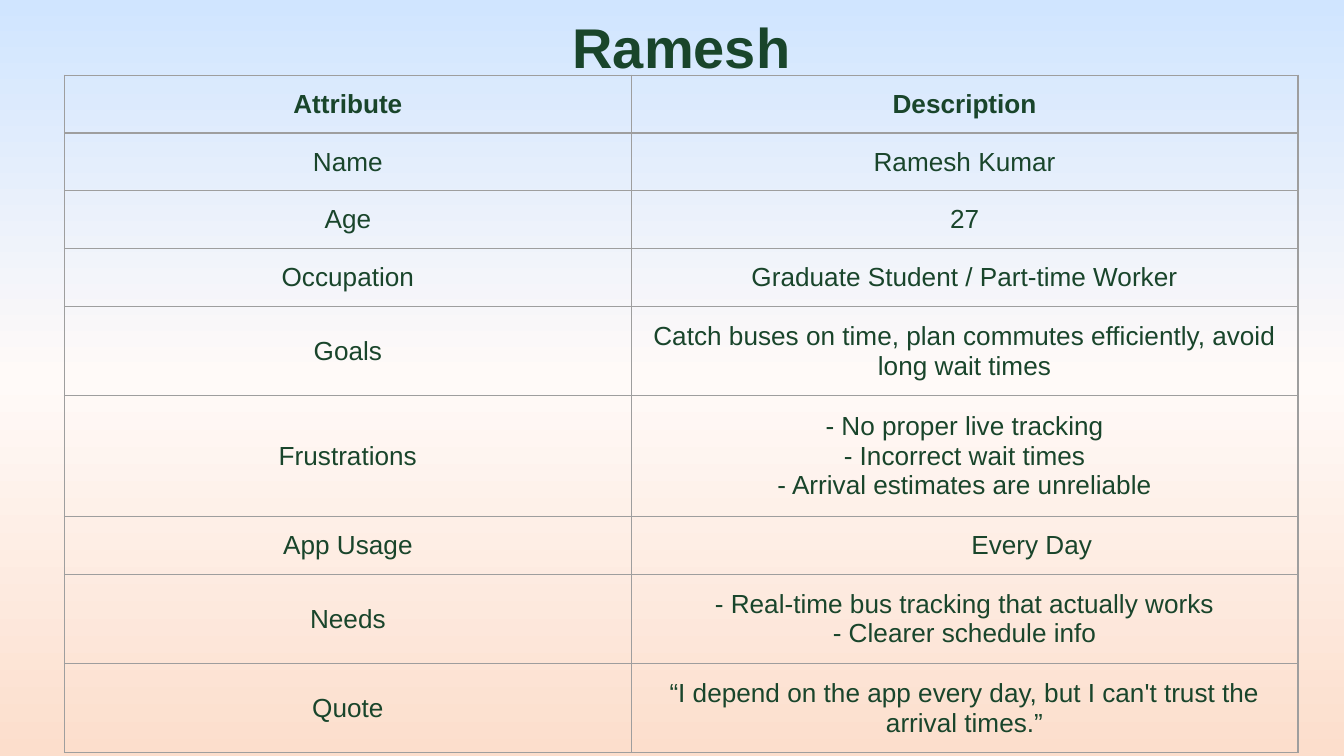
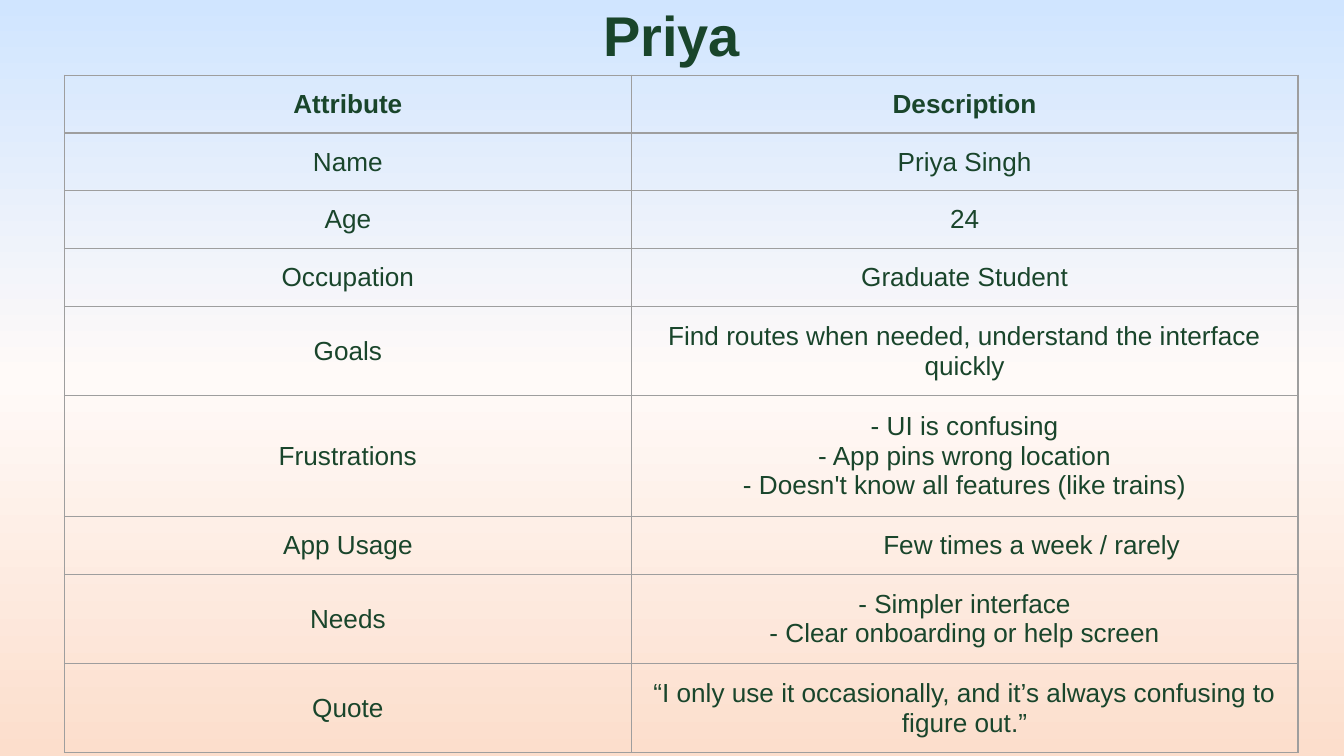
from copy import deepcopy

from lxml.etree import SubElement
from pptx import Presentation
from pptx.dml.color import RGBColor
from pptx.enum.text import MSO_ANCHOR, PP_ALIGN
from pptx.oxml.ns import qn
from pptx.util import Cm, Pt

GREEN, GREY = "19452B", "9E9E9E"
SKY_TO_PEACH = [(0, "D0E5FF"), (0.5, "FFFAF8"), (1, "FCDECC")]
TITLE = {"name": "Arial", "size": Pt(30), "bold": True}
HEADER = {"name": "Arial", "size": Pt(14), "bold": True}
BODY = {**HEADER, "bold": False}
INSETS = {f"margin_{side}": Cm(0.25) for side in ("left", "right", "top", "bottom")}
USAGE_INDENT = Cm(2.79)

TABLE_BOX = (1.22, 1.42)
COL_WIDTHS = (10.71, 12.6)
ROW_HEIGHT, QUOTE_HEIGHT = 1.07, 1.5

ATTRIBUTES = ["Name", "Age", "Occupation", "Goals", "Frustrations",
              "App Usage", "Needs", "Quote"]
PERSONAS = [
    {
        "title": "Ramesh",
        "title_box": (1.22, -0.43, 23.32, 2.62),
        "descriptions": [
            "Ramesh Kumar",
            "27",
            "Graduate Student / Part-time Worker",
            "Catch buses on time, plan commutes efficiently, avoid long wait times",
            "- No proper live tracking\n- Incorrect wait times\n"
            "- Arrival estimates are unreliable",
            "Every Day",
            "- Real-time bus tracking that actually works\n- Clearer schedule info",
            "“I depend on the app every day, but I can't trust the arrival times.”",
        ],
    },
    {
        "title": "Priya",
        "title_box": (0.86, -0.66, 23.67, 2.62),
        "descriptions": [
            "Priya Singh",
            "24",
            "Graduate Student",
            "Find routes when needed, understand the interface quickly",
            "- UI is confusing\n- App pins wrong location\n"
            "- Doesn't know all features (like trains)",
            "Few times a week / rarely",
            "- Simpler interface\n- Clear onboarding or help screen",
            "“I only use it occasionally, and it’s always confusing to figure out.”",
        ],
    },
]


def rgb(value):
    return RGBColor.from_string(value)


def set_attrs(obj, values):
    for name, value in values.items():
        setattr(obj, name, value)


def write(tf, text, style):
    """Fill a text frame with centred lines of one style."""
    tf.text = text
    for p in tf.paragraphs:
        p.alignment = PP_ALIGN.CENTER
        for r in p.runs:
            set_attrs(r.font, style)
            r.font.color.rgb = rgb(GREEN)


def paint_background(s):
    fill = s.background.fill
    fill.gradient()
    fill.gradient_angle = 270
    stops = s._element.find(".//" + qn("a:gsLst"))
    stops.append(deepcopy(stops[0]))
    for stop, (position, color) in zip(fill.gradient_stops, SKY_TO_PEACH):
        stop.position = position
        stop.color.rgb = rgb(color)


def add_title(s, box, text):
    tf = s.shapes.add_textbox(*map(Cm, box)).text_frame
    set_attrs(tf, {**INSETS, "word_wrap": True, "vertical_anchor": MSO_ANCHOR.MIDDLE})
    write(tf, text, TITLE)


def format_cell(cell, text, style):
    set_attrs(cell, {**INSETS, "vertical_anchor": MSO_ANCHOR.MIDDLE})
    write(cell.text_frame, text, style)
    tcPr = cell._tc.get_or_add_tcPr()
    for side in ("lnL", "lnR", "lnT", "lnB"):
        line = SubElement(tcPr, qn(f"a:{side}"), w=str(Pt(0.75)))
        SubElement(SubElement(line, qn("a:solidFill")), qn("a:srgbClr"), val=GREY)
    cell.fill.background()


def add_persona_table(s, box, descriptions):
    rows = [("Attribute", "Description"), *zip(ATTRIBUTES, descriptions)]
    heights = [ROW_HEIGHT] * (len(rows) - 1) + [QUOTE_HEIGHT]
    size = (sum(COL_WIDTHS), sum(heights))
    table = s.shapes.add_table(len(rows), len(COL_WIDTHS), *map(Cm, box + size)).table
    set_attrs(table, {"first_row": False, "horz_banding": False})
    for column, width in zip(table.columns, COL_WIDTHS):
        column.width = Cm(width)
    for i, (row, height) in enumerate(zip(table.rows, heights)):
        row.height = Cm(height)
        for cell, text in zip(row.cells, rows[i]):
            format_cell(cell, text, BODY if i else HEADER)
    usage_row = ATTRIBUTES.index("App Usage") + 1
    table.cell(usage_row, 1).margin_left = USAGE_INDENT


def add_persona_slide(prs, persona):
    s = prs.slides.add_slide(prs.slide_layouts[6])
    paint_background(s)
    add_title(s, persona["title_box"], persona["title"])
    add_persona_table(s, TABLE_BOX, persona["descriptions"])


def main():
    prs = Presentation()
    set_attrs(prs, {"slide_width": Cm(25.4), "slide_height": Cm(14.29)})
    for persona in PERSONAS:
        add_persona_slide(prs, persona)
    prs.save("out.pptx")


if __name__ == "__main__":
    main()
